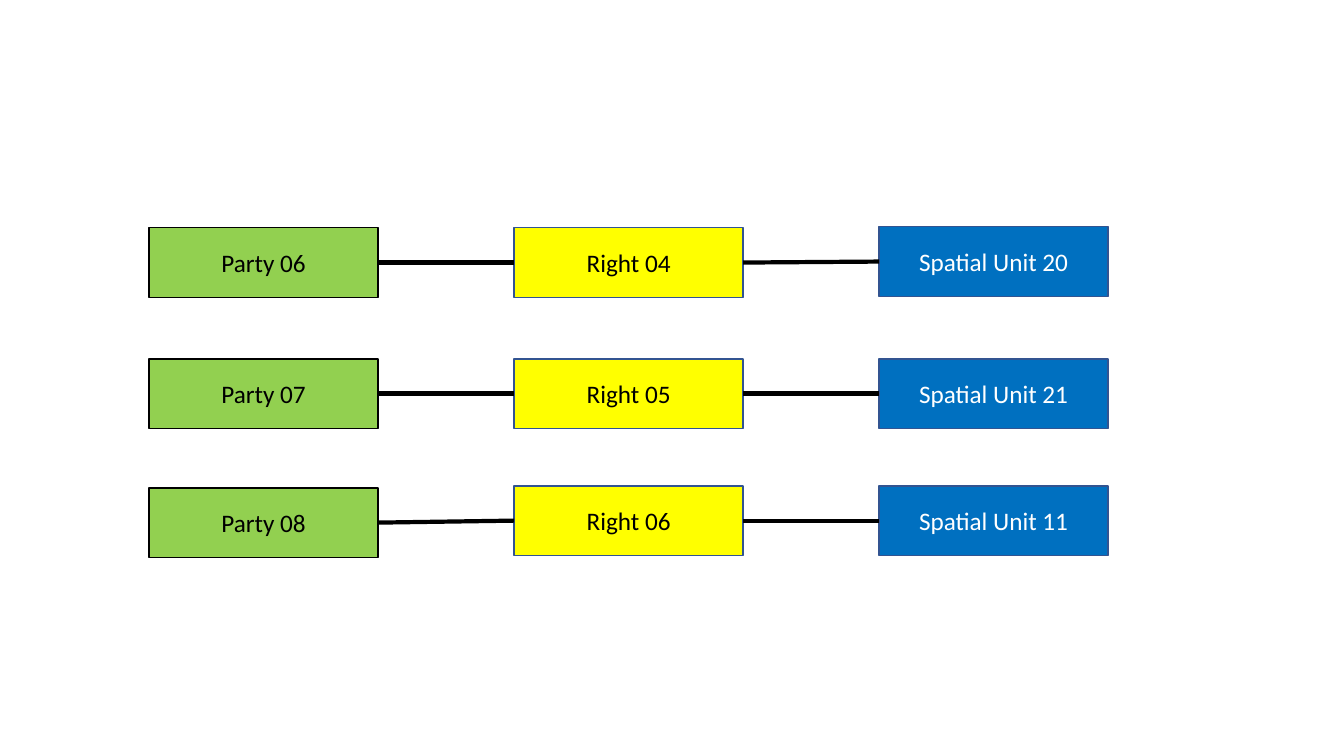
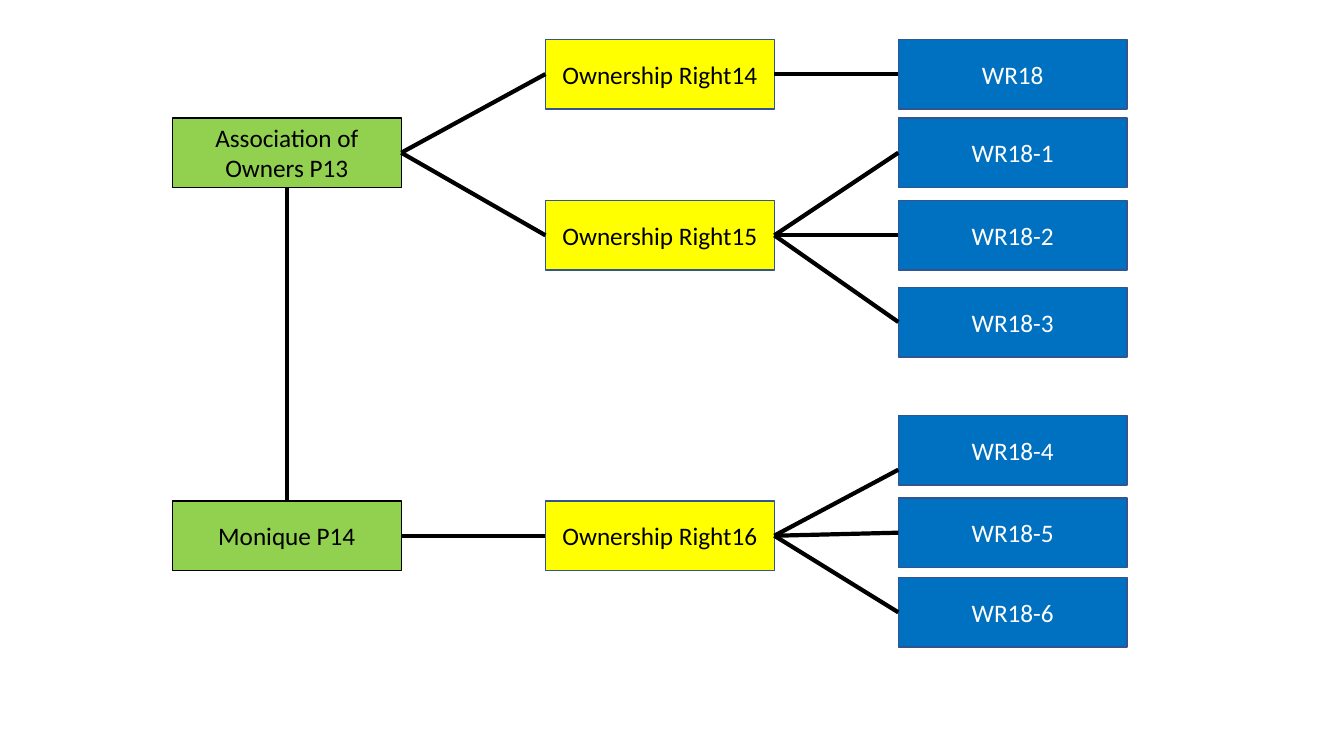
import pptx
import pptx.util
import pptx.dml.color
import pptx.enum.shapes
import pptx.enum.text
import pptx.oxml.ns
import lxml.etree
from pptx.util import Inches

BOX_WIDTH, BOX_HEIGHT = 2.27, 0.69
TOP, LEFT, BOTTOM, RIGHT = range(4)  # connection sites of a rectangle

# Fill, outline and text colour of each role
PARTY = ("92D050", "000000", "000000")
RIGHTS = ("FFFF00", "325491", "000000")
UNIT = ("0070C0", "325491", "FFFFFF")


def color(hex_code):
    return pptx.dml.color.RGBColor.from_string(hex_code)


def write(frame, text, size=18, font="Calibri", ink="000000"):
    frame.word_wrap = True
    frame.vertical_anchor = pptx.enum.text.MSO_ANCHOR.MIDDLE
    paragraph = frame.paragraphs[0]
    paragraph.alignment = pptx.enum.text.PP_ALIGN.CENTER
    run = paragraph.add_run()
    run.text = text
    run.font.size = pptx.util.Pt(size)
    run.font.name = font
    run.font.color.rgb = color(ink)


class Diagram:
    def __init__(self):
        self.deck = pptx.Presentation()
        self.deck.slide_width = Inches(13.33)
        self.deck.slide_height = Inches(7.5)
        self.slide = None

    def new_slide(self):
        self.slide = self.deck.slides.add_slide(self.deck.slide_layouts[6])

    def box(self, text, left, top, role):
        fill, outline, ink = role
        shape = self.slide.shapes.add_shape(
            pptx.enum.shapes.MSO_SHAPE.RECTANGLE,
            Inches(left), Inches(top), Inches(BOX_WIDTH), Inches(BOX_HEIGHT))
        shape.shadow.inherit = False
        shape.fill.solid()
        shape.fill.fore_color.rgb = color(fill)
        shape.line.color.rgb = color(outline)
        shape.line.width = pptx.util.Pt(1)
        write(shape.text_frame, text, ink=ink)
        return shape

    def column(self, left, role, entries):
        return [self.box(text, left, top, role) for text, top in entries]

    def link(self, start, end, start_site=RIGHT, end_site=LEFT, end_y=None):
        """Join two boxes; end_y moves the end along the left edge."""
        line = self.slide.shapes.add_connector(
            pptx.enum.shapes.MSO_CONNECTOR.STRAIGHT,
            start.left, start.top, end.left, Inches(end_y or 0))
        line.begin_connect(start, start_site)
        if end_y is None:
            line.end_connect(end, end_site)
        line.line.color.rgb = color("000000")
        line.line.width = pptx.util.Pt(3)
        properties = line._element.spPr
        lxml.etree.SubElement(properties, pptx.oxml.ns.qn("a:effectLst"))


diagram = Diagram()

# Slide 1: one party, one right, one spatial unit per row
diagram.new_slide()
parties = diagram.column(1.48, PARTY, [
    ("Party 06", 2.26), ("Party 07", 3.56), ("Party 08", 4.84)])
rights = diagram.column(5.1, RIGHTS, [
    ("Right 04", 2.26), ("Right 05", 3.56), ("Right 06", 4.82)])
units = diagram.column(8.72, UNIT, [
    ("Spatial Unit 20", 2.25), ("Spatial Unit 21", 3.56),
    ("Spatial Unit 11", 4.82)])
for party, right, unit in zip(parties, rights, units):
    diagram.link(party, right)
    diagram.link(right, unit)

# Slide 2: owners and the units that their rights cover
diagram.new_slide()
association, monique = diagram.column(1.71, PARTY, [
    ("Association of Owners P13", 1.17), ("Monique P14", 4.97)])
right14, right15, right16 = diagram.column(5.41, RIGHTS, [
    ("Ownership Right14", 0.39), ("Ownership Right15", 1.99),
    ("Ownership Right16", 4.97)])
building, *apartments = diagram.column(8.91, UNIT, [
    ("WR18", 0.39), ("WR18-1", 1.17), ("WR18-2", 1.99), ("WR18-3", 2.85),
    ("WR18-4", 4.12), ("WR18-5", 4.94), ("WR18-6", 5.73)])

diagram.link(association, monique, BOTTOM, TOP)
for owner, right in [(association, right14), (association, right15),
                     (monique, right16)]:
    diagram.link(owner, right)
diagram.link(right14, building)
for apartment in apartments[:3]:
    diagram.link(right15, apartment)
diagram.link(right16, apartments[3], end_y=4.66)
for apartment in apartments[4:]:
    diagram.link(right16, apartment)

diagram.deck.save("out.pptx")
